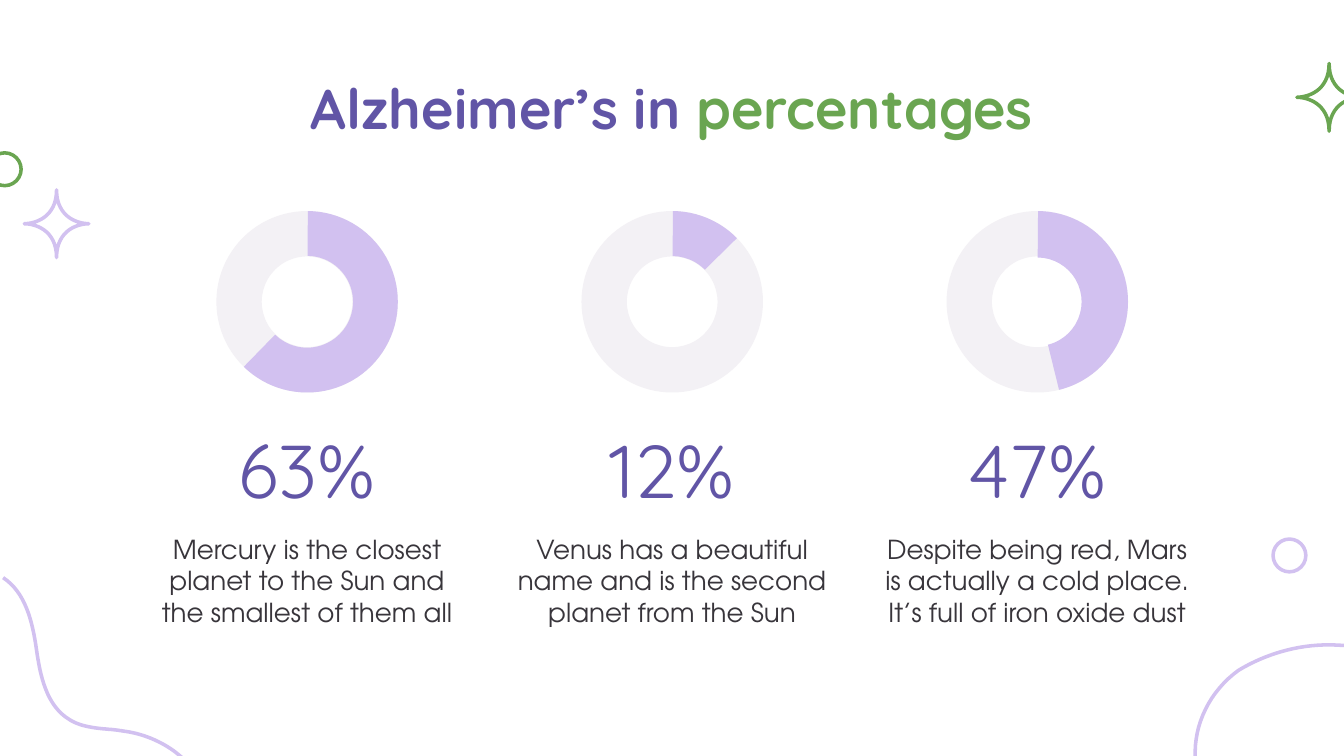
from lxml import etree
from pptx import Presentation
from pptx.dml.color import RGBColor
from pptx.enum.shapes import MSO_SHAPE
from pptx.enum.text import MSO_ANCHOR, MSO_AUTO_SIZE, PP_ALIGN
from pptx.oxml.ns import qn
from pptx.util import Cm, Pt

PURPLE = RGBColor(0x61, 0x55, 0xA6)
GREEN = RGBColor(0x6A, 0xA5, 0x51)
LILAC = RGBColor(0xD2, 0xC1, 0xF0)
PALE = RGBColor(0xF3, 0xF1, 0xF5)
DARK = RGBColor(0x38, 0x35, 0x3B)
HEAD, BODY = "Quicksand", "TeX Gyre Adventor"
OVAL, DONUT, ARC = MSO_SHAPE.OVAL, MSO_SHAPE.DONUT, MSO_SHAPE.BLOCK_ARC
CENTER = PP_ALIGN.CENTER
TOP, MIDDLE = MSO_ANCHOR.TOP, MSO_ANCHOR.MIDDLE
NO_FIT = MSO_AUTO_SIZE.NONE

WAVE = [(0.06, 10.92), (0.48, 11.2), (0.61, 11.73), (0.69, 12.27),
        (0.76, 12.78), (0.88, 13.34), (1.31, 13.6),
        (1.52, 13.74), (1.83, 13.77), (2.11, 13.79),
        (2.21, 13.8), (2.34, 13.82), (2.46, 13.84),
        (2.82, 13.91), (3.18, 14.08), (3.45, 14.33)]
HILL = [(22.59, 14.33), (22.56, 13.69), (22.86, 13.07), (23.41, 12.67),
        (23.91, 12.37), (24.5, 12.19), (25.12, 12.19),
        (25.22, 12.19), (25.32, 12.2), (25.4, 12.2)]
STAR = [(0, -0.64), (0, -0.1), (0.43, 0), (0.61, 0),
        (0.43, 0), (0, 0.1), (0, 0.64),
        (0, 0.1), (-0.43, 0), (-0.61, 0),
        (-0.43, 0), (0, -0.1), (0, -0.64)]
FACTS = [
    ("63%", 134.2, 0.247,
     "Mercury is the closest planet to the Sun and the smallest of them all"),
    ("12%", 315.5, 0.248,
     "Venus has a beautiful name and is the second planet from the Sun"),
    ("47%", 76.1, 0.256,
     "Despite being red, Mars is actually a cold place. It’s full of iron oxide dust"),
]


def trace(knots, steps=16):
    dots = [knots[0]]
    for i in range(0, len(knots) - 1, 3):
        a, b, c, d = knots[i:i + 4]
        for n in range(1, steps + 1):
            t = n / steps
            u = 1 - t
            dots.append(tuple(
                u**3 * a[k] + 3 * u * u * t * b[k] + 3 * u * t * t * c[k] + t**3 * d[k]
                for k in (0, 1)))
    return dots


class Board:
    stroke = Pt(1.9)

    def __init__(self, slide):
        self.slide = slide
        self.shapes = slide.shapes

    def place(self, shape, x, y, w, h):
        shape.left, shape.top, shape.width, shape.height = Cm(x), Cm(y), Cm(w), Cm(h)

    def outline(self, shape, color):
        shape.shadow.inherit = False
        shape.fill.background()
        shape.line.color.rgb = color
        shape.line.width = self.stroke
        etree.SubElement(shape.element.spPr.find(qn("a:ln")), qn("a:round"))

    def curve(self, knots, color, close=False):
        dots = [(Cm(x), Cm(y)) for x, y in trace(knots)]
        pen = self.shapes.build_freeform(*dots[0])
        pen.add_line_segments(dots[1:], close=close)
        self.outline(pen.convert_to_shape(), color)

    def star(self, x, y, color):
        self.curve([(x + dx, y + dy) for dx, dy in STAR], color, True)

    def ring(self, x, y, color, size=0.62):
        half = size / 2
        shape = self.shapes.add_shape(OVAL, Cm(x - half), Cm(y - half), Cm(size), Cm(size))
        self.outline(shape, color)

    def solid(self, kind, x, y, size, color, values):
        shape = self.shapes.add_shape(kind, Cm(x), Cm(y), Cm(size), Cm(size))
        shape.shadow.inherit = False
        shape.fill.solid()
        shape.fill.fore_color.rgb = color
        shape.line.fill.background()
        for i, value in enumerate(values):
            shape.adjustments[i] = value

    def gauge(self, x, y, size, end, thick):
        self.solid(DONUT, x, y, size, PALE, [0.25])
        self.solid(ARC, x, y, size, LILAC, [270.5 * 0.6, end * 0.6, thick])

    def frame(self, shape, anchor):
        frame = shape.text_frame
        frame.word_wrap = True
        frame.auto_size = NO_FIT
        frame.vertical_anchor = anchor
        frame.margin_left = frame.margin_right = Cm(0.25)
        frame.margin_top = frame.margin_bottom = Cm(0.25)
        return frame.paragraphs[0]

    def style(self, para, font, size, color=None, bold=False):
        para.alignment = CENTER
        para.space_before = Pt(0)
        para.font.name = font
        para.font.size = Pt(size)
        para.font.bold = bold
        if color is not None:
            para.font.color.rgb = color

    def title(self, parts, *box):
        shape = self.shapes.title
        self.place(shape, *box)
        para = self.frame(shape, MIDDLE)
        for text, color in parts:
            run = para.add_run()
            run.text = text
            run.font.color.rgb = color
        self.style(para, HEAD, 30, bold=True)

    def figure(self, text, x, y, w, h):
        shape = self.shapes.add_textbox(Cm(x), Cm(y), Cm(w), Cm(h))
        para = self.frame(shape, MIDDLE)
        para.text = text
        self.style(para, HEAD, 40, PURPLE)

    def note(self, slot, text, *box):
        shape = self.slide.placeholders[slot]
        self.place(shape, *box)
        para = self.frame(shape, TOP)
        para.text = text
        props = para._p.get_or_add_pPr()
        props.set("marL", "0")
        props.set("indent", "0")
        etree.SubElement(props, qn("a:buNone"))
        self.style(para, BODY, 14, DARK)


def main():
    deck = Presentation()
    deck.slide_width, deck.slide_height = Cm(25.4), Cm(14.29)
    slide = deck.slides.add_slide(deck.slide_layouts[4])
    board = Board(slide)

    board.ring(0.09, 3.2, GREEN)
    board.star(1.07, 4.23, LILAC)
    board.ring(24.37, 10.5, LILAC)
    board.curve(WAVE, LILAC)
    board.curve(HILL, LILAC)
    board.star(25.12, 1.84, GREEN)

    board.title([("Alzheimer’s in ", PURPLE), ("percentages", GREEN)],
                2.03, 1.27, 21.34, 1.52)
    for i, (share, end, thick, text) in enumerate(FACTS):
        mid = 12.7 + (i - 1) * 6.9
        board.gauge(mid - 1.71, 3.99, 3.43, end, thick)
        board.figure(share, mid - 2.03, 7.85, 4.06, 2.03)
        board.note(i + 1, text, mid - 3.17, 9.83, 6.35, 2.16)

    spare = slide.placeholders[4].element
    spare.getparent().remove(spare)
    deck.save("out.pptx")


if __name__ == "__main__":
    main()
